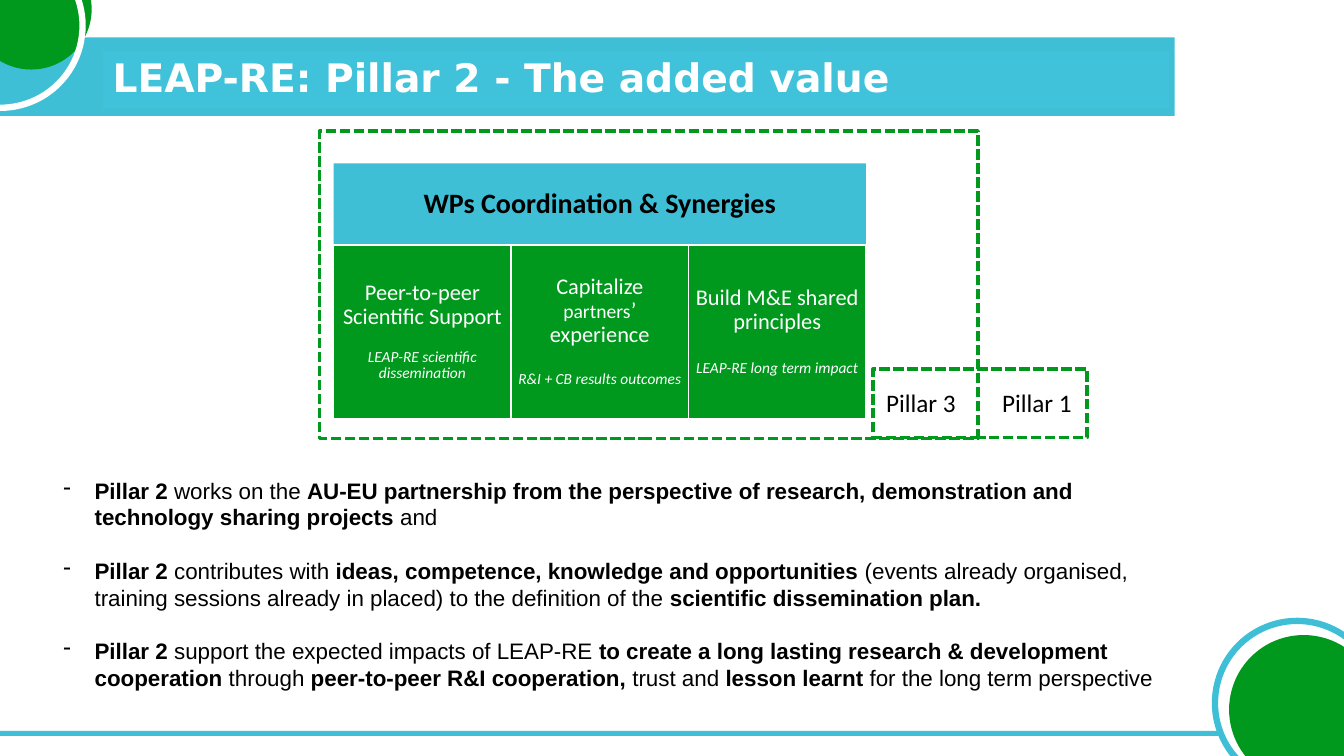
from lxml.etree import SubElement
from pptx import Presentation
from pptx.dml.color import RGBColor
from pptx.enum.dml import MSO_LINE
from pptx.enum.shapes import MSO_SHAPE
from pptx.enum.text import MSO_ANCHOR, PP_ALIGN
from pptx.oxml.ns import qn
from pptx.util import Inches, Pt

WIDTH, HEIGHT = Inches(13.33), Inches(7.5)
CYAN, TITLE_CYAN, GREEN = "3EBFD6", "40C3DA", "00991D"
WHITE, BLACK = "FFFFFF", "000000"

GRID_LEFT, CARD_WIDTH = 24.83, 13.2
CARDS = [
    ([("Peer-to-peer Scientific Support", 16)], "LEAP-RE scientific dissemination", 14),
    ([("Capitalize ", 16), ("partners", 14), ("’ experience", 16)],
     "R&I + CB results outcomes", 17),
    ([("Build M&E shared principles", 16)], "LEAP-RE long term impact", 18),
]
STATEMENTS = [
    [("Pillar 2 ", True), ("works on the ", False),
     ("AU-EU partnership from the perspective of research, demonstration and "
      "technology sharing projects ", True), ("and", False)],
    [("Pillar 2 ", True), ("contributes with ", False),
     ("ideas, competence, knowledge and opportunities ", True),
     ("(events already organised, training sessions already in placed) "
      "to the definition of the ", False),
     ("scientific dissemination plan.", True)],
    [("Pillar 2 ", True), ("support the expected impacts of LEAP-RE ", False),
     ("to create a long lasting research & development cooperation", True),
     (" through ", False), ("peer-to-peer R&I cooperation, ", True),
     ("trust and ", False), ("lesson learnt ", True),
     ("for the long term perspective", False)],
]


def colour(code):
    return RGBColor.from_string(code)


def area(left, top, width, height):
    return (round(WIDTH * left / 100), round(HEIGHT * top / 100),
            round(WIDTH * width / 100), round(HEIGHT * height / 100))


def add_block(slide, place, fill=None, line=None, weight=1, preset=MSO_SHAPE.RECTANGLE):
    block = slide.shapes.add_shape(preset, *area(*place))
    block.shadow.inherit = False
    if fill:
        block.fill.solid()
        block.fill.fore_color.rgb = colour(fill)
    else:
        block.fill.background()
    if line:
        block.line.color.rgb = colour(line)
        block.line.width = Pt(weight)
    else:
        block.line.fill.background()
    return block


def add_circle(slide, left, top, diameter, fill=None, line=None):
    place = left, top, diameter * HEIGHT / WIDTH, diameter
    add_block(slide, place, fill, line, 4.5, MSO_SHAPE.OVAL)


def add_dashed_frame(slide, place):
    frame = add_block(slide, place, line=GREEN, weight=2.5)
    frame.line.dash_style = MSO_LINE.SQUARE_DOT


def set_inset(frame, inset):
    frame.margin_left = frame.margin_right = Inches(inset)
    frame.margin_top = frame.margin_bottom = Inches(inset)


def write(paragraph, text, size, font, code, bold=False, italic=False):
    run = paragraph.add_run()
    run.text = text
    run.font.size = Pt(size)
    run.font.name = font
    run.font.bold = bold
    run.font.italic = italic
    run.font.color.rgb = colour(code)


def add_banner(slide, place, fill, text, size, font, code, align, inset=0.1):
    banner = add_block(slide, place, fill)
    frame = banner.text_frame
    set_inset(frame, inset)
    frame.vertical_anchor = MSO_ANCHOR.MIDDLE
    heading = frame.paragraphs[0]
    heading.alignment = align
    heading.line_spacing = 0.9
    write(heading, text, size, font, code, bold=True)


def add_card(slide, column, topic, result, gap):
    place = GRID_LEFT + column * CARD_WIDTH, 32.4, CARD_WIDTH, 22.93
    frame = add_block(slide, place, GREEN, WHITE).text_frame
    set_inset(frame, 0.05 if column == 2 else 0.07)
    frame.vertical_anchor = MSO_ANCHOR.MIDDLE
    heading, caption = frame.paragraphs[0], frame.add_paragraph()
    for paragraph in (heading, caption):
        paragraph.alignment = PP_ALIGN.CENTER
        paragraph.line_spacing = 0.9
    caption.space_before = Pt(gap)
    for text, size in topic:
        write(heading, text, size, "Calibri", WHITE)
    write(caption, result, 11, "Calibri", WHITE, italic=True)


def add_text(slide, place):
    frame = slide.shapes.add_textbox(*area(*place)).text_frame
    frame.word_wrap = True
    return frame


def add_pillar_label(slide, left, text):
    frame = add_text(slide, (left, 50.53, 17.25, 5.33))
    write(frame.paragraphs[0], text, 18, "Calibri", BLACK)


def set_dash_bullet(paragraph):
    properties = paragraph._p.get_or_add_pPr()
    properties.set("marL", str(Inches(0.31)))
    properties.set("indent", str(-Inches(0.31)))
    SubElement(properties, qn("a:buChar")).set("char", "-")


def add_statements(slide):
    frame = add_text(slide, (3.98, 62.4, 85.45, 30.13))
    for index, statement in enumerate(STATEMENTS):
        paragraph = frame.add_paragraph() if index else frame.paragraphs[0]
        if index:
            paragraph.space_before = Pt(19)
        set_dash_bullet(paragraph)
        for text, bold in statement:
            write(paragraph, text, 16, "Arial", BLACK, bold)


def add_decoration(slide):
    add_block(slide, (0, 4.93, 87.4, 10.4), CYAN)
    add_block(slide, (0, 96.67, 90.92, 0.67), CYAN)
    add_circle(slide, 90.4, 82.13, 21.73, line=CYAN)
    add_circle(slide, 91.45, 84, 19.73, fill=GREEN)
    add_circle(slide, -2.18, -6.8, 16, fill=GREEN)
    add_circle(slide, -6.08, -7.47, 21.73, line=WHITE)


def main():
    deck = Presentation()
    deck.slide_width, deck.slide_height = WIDTH, HEIGHT
    slide = deck.slides.add_slide(deck.slide_layouts[6])
    add_decoration(slide)
    add_banner(slide, (GRID_LEFT, 21.6, 3 * CARD_WIDTH, 10.93), CYAN,
               "WPs Coordination & Synergies", 20, "Calibri", BLACK, PP_ALIGN.CENTER, 0.08)
    for column, card in enumerate(CARDS):
        add_card(slide, column, *card)
    add_pillar_label(slide, 65.19, "Pillar 3")
    add_dashed_frame(slide, (23.78, 17.33, 48.99, 40.67))
    add_dashed_frame(slide, (64.97, 48.8, 15.9, 9.07))
    add_pillar_label(slide, 73.82, "Pillar 1")
    add_statements(slide)
    add_banner(slide, (7.65, 6.8, 79.37, 7.47), TITLE_CYAN,
               "LEAP-RE: Pillar 2 - The added value", 28, "DejaVu Sans", WHITE, PP_ALIGN.LEFT)
    deck.save("out.pptx")


if __name__ == "__main__":
    main()
